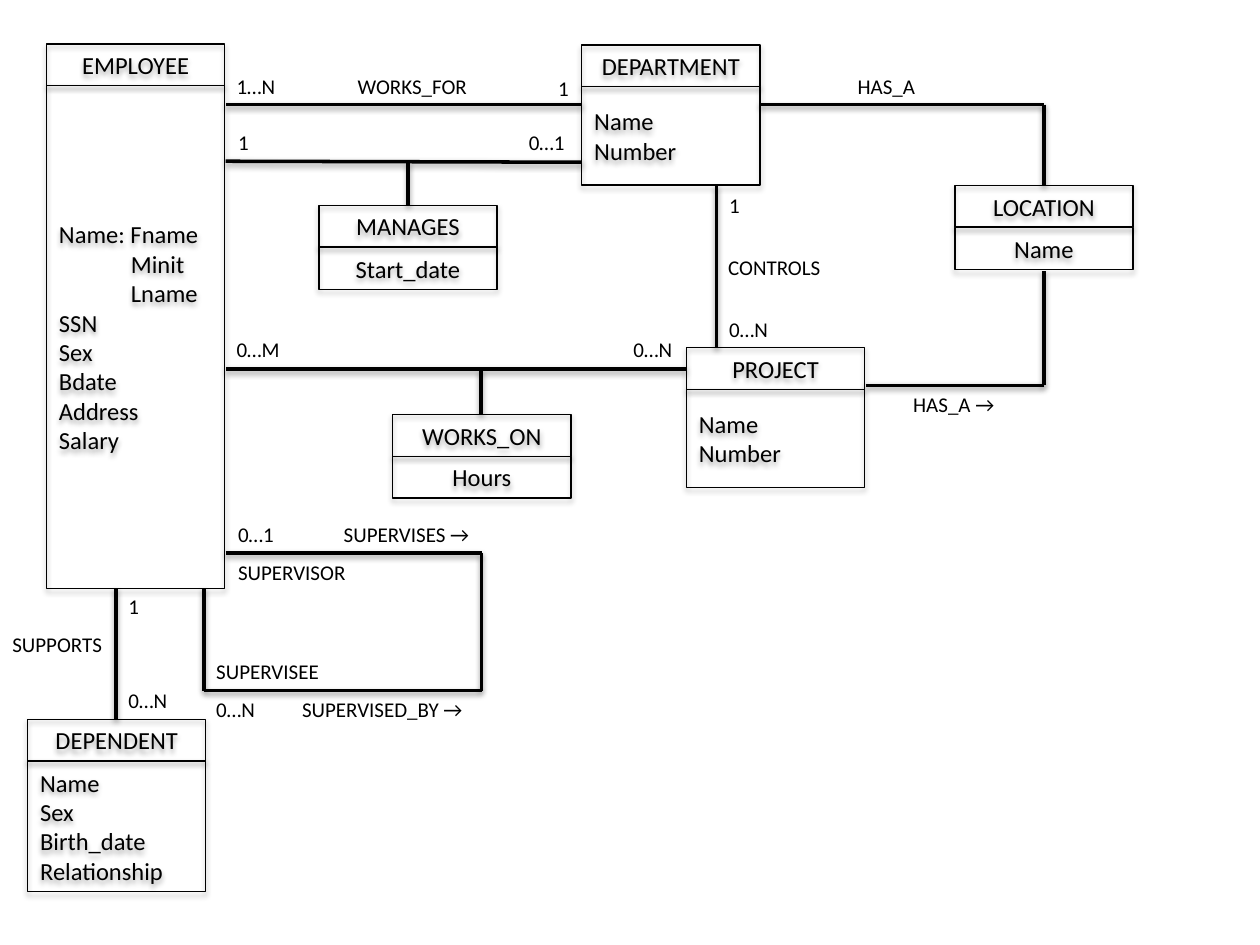
from dataclasses import dataclass
from itertools import pairwise
from typing import Any

from lxml.etree import SubElement
from pptx import Presentation
from pptx.dml.color import RGBColor as Rgb
from pptx.enum.shapes import MSO_CONNECTOR as Link, MSO_SHAPE as Form
from pptx.enum.text import MSO_ANCHOR as Anchor, MSO_AUTO_SIZE as Fit, PP_ALIGN as Align
from pptx.oxml.ns import qn
from pptx.util import Cm, Pt

COLORS = {"ink": "000000", "shade": "000000"}
FONT = "Calibri"
WIDTH, HEAD = 3.59, 0.84
TAB = "\t"


@dataclass
class Entity:
    """A class box: title above a list of fields; lengths in cm."""
    name: str
    left: float
    top: float
    body: float
    rows: list[str]


@dataclass
class Label:
    """A caption beside a line; lengths in cm."""
    text: str
    left: float
    top: float
    width: float


ENTITIES = [
    Entity("EMPLOYEE", 0.94, 0.89, 10.13,
           ["Name: Fname", TAB + "Minit", TAB + "Lname", "SSN", "Sex",
            "Bdate", "Address", "Salary"]),
    Entity("DEPENDENT", 0.56, 14.5, 2.64,
           ["Name", "Sex", "Birth_date", "Relationship"]),
    Entity("DEPARTMENT", 11.73, 0.91, 1.98, ["Name", "Number"]),
    Entity("MANAGES", 6.43, 4.14, 0.86, ["Start_date"]),
    Entity("LOCATION", 19.25, 3.74, 0.86, ["Name"]),
    Entity("PROJECT", 13.84, 7.01, 1.98, ["Name", "Number"]),
    Entity("WORKS_ON", 7.92, 8.36, 0.84, ["Hours"]),
]

ROUTES = [
    [(2.34, 11.86), (2.34, 14.5)],
    [(11.73, 2.11), (4.55, 2.11)],
    [(11.73, 3.27), (4.55, 3.25)],
    [(8.23, 3.27), (8.23, 4.14)],
    [(13.84, 7.44), (4.55, 7.44)],
    [(9.7, 7.46), (9.7, 8.36)],
    [(14.44, 7.01), (14.44, 3.73)],
    [(15.32, 2.11), (21.05, 2.11), (21.05, 3.74)],
    [(17.45, 7.77), (21.05, 7.77), (21.05, 5.46)],
    [(4.55, 11.15), (9.71, 11.15), (9.71, 13.92), (4.11, 13.92), (4.11, 11.86)],
]

LABELS = [
    Label("SUPPORTS", 0, 12.6, 2.34),
    Label("WORKS_FOR", 6.96, 1.35, 2.77),
    Label("HAS_A", 17.04, 1.35, 1.68),
    Label("HAS_A →", 18.16, 7.77, 2.21),
    Label("SUPERVISED_BY →", 5.84, 13.92, 3.86),
    Label("SUPERVISES →", 6.68, 10.39, 3.1),
    Label("SUPERVISEE", 4.11, 13.16, 2.62),
    Label("SUPERVISOR", 4.55, 11.15, 2.72),
    Label("CONTROLS", 14.43, 5.0, 2.39),
    Label("0…1", 10.41, 2.49, 1.32),
    Label("1", 4.55, 2.49, 0.74),
    Label("1", 11.0, 1.4, 0.74),
    Label("1…N", 4.52, 1.35, 1.32),
    Label("0…N", 14.45, 6.25, 1.32),
    Label("1", 14.45, 3.76, 0.74),
    Label("0…N", 12.52, 6.65, 1.32),
    Label("0…M", 4.52, 6.65, 1.93),
    Label("0…N", 4.11, 13.92, 1.32),
    Label("0…1", 4.55, 10.39, 1.32),
    Label("0…N", 2.34, 13.74, 1.32),
    Label("1", 2.34, 11.84, 0.74),
]


def shade(part: Any, dist: int, alpha: int) -> None:
    """Give a shape or line a soft shadow straight below it."""
    props = part._element.spPr
    for old in props.findall(qn("a:effectLst")):
        props.remove(old)
    drop = SubElement(SubElement(props, qn("a:effectLst")), qn("a:outerShdw"),
                      blurRad="40000", dist=str(dist), dir="5400000", rotWithShape="0")
    tint = SubElement(drop, qn("a:srgbClr"), val=COLORS["shade"])
    SubElement(tint, qn("a:alpha"), val=str(alpha * 1000))


def stroke(line: Any, size: float) -> None:
    """Set a line's colour and width in points."""
    line.color.rgb = Rgb.from_string(COLORS["ink"])
    line.width = Pt(size)


def write(frame: Any, rows: list[str], *, size: int = 14, align: Any = Align.LEFT,
          anchor: Any = Anchor.MIDDLE, wrap: bool = True) -> None:
    """Fill a text frame, one paragraph a row; a leading tab means an indent."""
    frame.word_wrap = wrap
    frame.vertical_anchor = anchor
    for i, row in enumerate(rows):
        para = frame.paragraphs[0] if i == 0 else frame.add_paragraph()
        para.alignment = align
        if row.startswith(TAB):
            props = para._p.get_or_add_pPr()
            props.set("marL", str(Cm(1.45)))
            props.set("indent", "0")
        run = para.add_run()
        run.text = row.lstrip(TAB)
        run.font.name, run.font.size = FONT, Pt(size)
        run.font.color.rgb = Rgb.from_string(COLORS["ink"])


def draw_box(shapes: Any, left: float, top: float, high: float,
             rows: list[str]) -> None:
    """Draw one outlined cell; a single row is centred."""
    box = shapes.add_shape(Form.RECTANGLE, Cm(left), Cm(top), Cm(WIDTH), Cm(high))
    box.fill.background()
    stroke(box.line, 0.75)
    shade(box, 23000, 35)
    write(box.text_frame, rows, align=Align.CENTER if len(rows) == 1 else Align.LEFT)


def draw_entity(shapes: Any, item: Entity) -> None:
    """Draw the title cell and the field cell below it."""
    draw_box(shapes, item.left, item.top, HEAD, [item.name])
    draw_box(shapes, item.left, item.top + HEAD, item.body, item.rows)


def draw_route(shapes: Any, points: list[tuple[float, float]]) -> None:
    """Join each point to the next with a straight line."""
    for start, end in pairwise(points):
        line = shapes.add_connector(Link.STRAIGHT, *map(Cm, start + end))
        stroke(line.line, 2)
        shade(line, 20000, 38)


def draw_label(shapes: Any, item: Label) -> None:
    """Draw a caption; ranges wrap in a fixed width, words do not."""
    box = shapes.add_textbox(Cm(item.left), Cm(item.top), Cm(item.width), Cm(0.77))
    write(box.text_frame, [item.text], size=12, anchor=Anchor.TOP,
          wrap="…" in item.text)
    box.text_frame.auto_size = Fit.SHAPE_TO_FIT_TEXT


def main() -> None:
    """Build the class diagram and save it."""
    deck = Presentation()
    deck.slide_width, deck.slide_height = Cm(25.4), Cm(19.05)
    shapes = deck.slides.add_slide(deck.slide_layouts[6]).shapes
    for items, draw in ((ENTITIES, draw_entity), (ROUTES, draw_route),
                        (LABELS, draw_label)):
        for item in items:
            draw(shapes, item)
    deck.save("out.pptx")


main()
